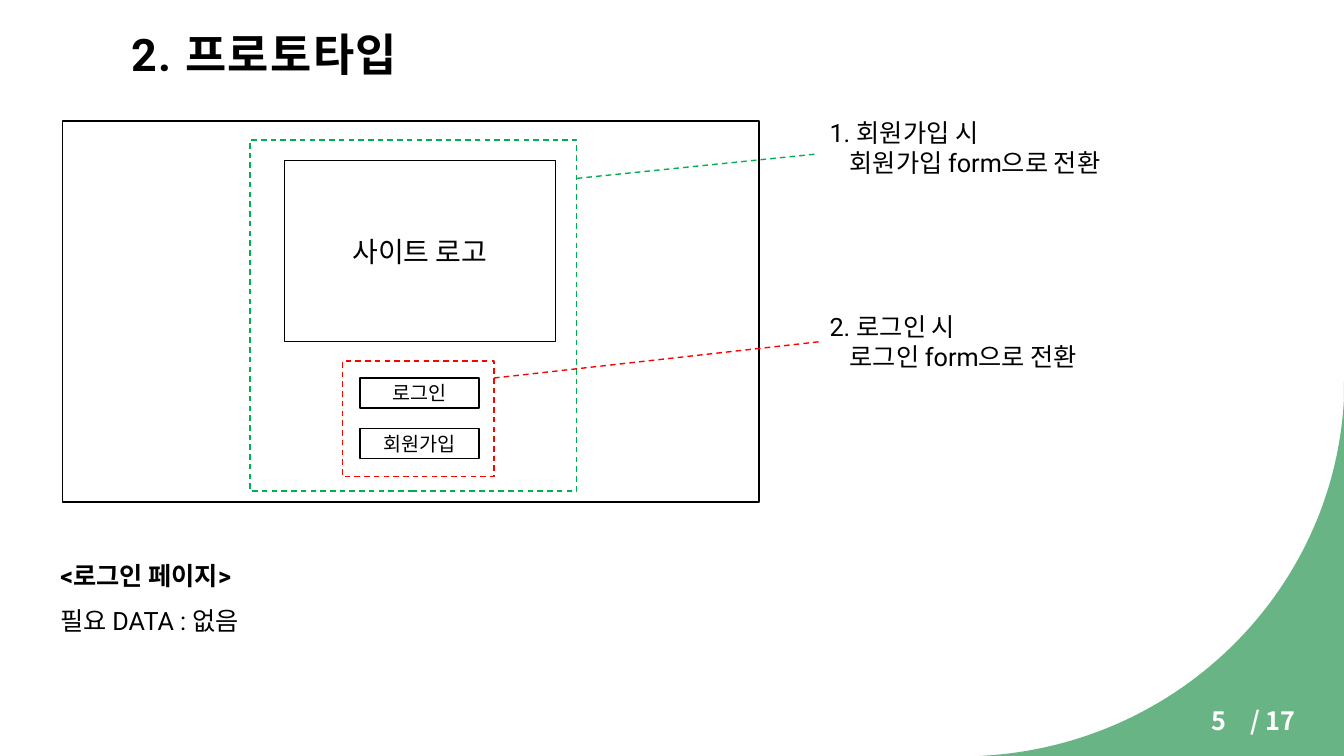
from dataclasses import dataclass

from lxml.etree import SubElement
from pptx import Presentation
from pptx.dml.color import RGBColor
from pptx.enum.dml import MSO_LINE_DASH_STYLE as Dash
from pptx.enum.shapes import MSO_CONNECTOR as Connector, MSO_SHAPE as Shape
from pptx.enum.text import MSO_ANCHOR as Anchor, MSO_AUTO_SIZE as AutoSize, PP_ALIGN as Align
from pptx.oxml.ns import qn
from pptx.util import Inches, Pt

BLACK, WHITE = "000000", "FFFFFF"
RED, GREEN, LEAF = "FF0000", "00B050", "68B484"
LATIN, KOREAN = "Roboto", "Noto Sans CJK KR"


@dataclass
class Frame:
    left: float
    top: float
    width: float
    height: float
    text: str = ""
    size: int = 20
    color: str = BLACK
    dashed: bool = False


@dataclass
class Leader:
    start: tuple[float, float]
    end: tuple[float, float]
    color: str


@dataclass
class Line:
    text: str
    bold: bool = False


@dataclass
class Label:
    left: float
    top: float
    width: float
    height: float
    lines: list[Line]
    font: str = LATIN
    color: str = BLACK
    spacing: float = 1.0
    hanging: float = 0.0


FRAMES = [
    Frame(0.62, 1.2, 6.91, 3.78),
    Frame(2.82, 1.59, 2.69, 1.8, "사이트 로고"),
    *(Frame(3.57, 3.75 + 0.5 * row, 1.18, 0.3, text, 14)
      for row, text in enumerate(["로그인", "회원가입"])),
    Frame(3.4, 3.58, 1.5, 1.15, color=RED, dashed=True),
    Frame(2.48, 1.39, 3.24, 3.48, color=GREEN, dashed=True),
]
LEADERS = [
    Leader((4.9, 3.75), (8.13, 3.39), RED),
    Leader((5.72, 1.77), (8.08, 1.53), GREEN),
]
LABELS = [
    Label(12.3, 6.95, 1.03, 0.4, [Line("/ 17", True)], KOREAN, WHITE),
    Label(8.13, 1.11, 3.44, 0.71, [Line("1. 회원가입 시\n회원가입 form으로 전환")], hanging=0.2),
    Label(8.13, 3.04, 3.44, 0.71, [Line("2. 로그인 시\n로그인 form으로 전환")], hanging=0.2),
    Label(0.5, 5.36, 8.29, 0.96,
          [Line("<로그인 페이지>", True), Line("필요 DATA : 없음")], spacing=1.5),
    Label(11.92, 6.95, 1.15, 0.4, [Line("5", True)], KOREAN, WHITE),
]
CURVE = [(9.71, 7.5), (11.67, 7.41), (13.23, 5.87), (13.33, 3.96)]
CURVE_STEPS = 60


def rgb(color: str) -> RGBColor:
    return RGBColor.from_string(color)


def apply(target, formats: dict) -> None:
    for name, value in formats.items():
        setattr(target, name, value)


def style_para(para, size: int, color: str, bold: bool = False, font: str = LATIN) -> None:
    for span in para.runs:
        apply(span.font, {"name": font, "size": Pt(size), "bold": bold})
        span.font.color.rgb = rgb(color)
        SubElement(span._r.get_or_add_rPr(), qn("a:ea"), typeface=KOREAN)


def style_line(line, color: str, dashed: bool) -> None:
    line.color.rgb = rgb(color)
    line.width = Pt(1)
    if dashed:
        line.dash_style = Dash.DASH


def curve_point(t: float) -> tuple[float, float]:
    weights = ((1 - t) ** 3, 3 * t * (1 - t) ** 2, 3 * t * t * (1 - t), t ** 3)
    x, y = (sum(w * value for w, value in zip(weights, axis)) for axis in zip(*CURVE))
    return x, y


def draw_corner(page) -> None:
    points = [curve_point(step / CURVE_STEPS) for step in range(CURVE_STEPS + 1)]
    points += [(13.33, 3.78), (13.33, 7.5), (9.63, 7.5)]
    builder = page.shapes.build_freeform(
        Inches(points[0][0]), Inches(points[0][1]), scale=1.0)
    builder.add_line_segments([(Inches(x), Inches(y)) for x, y in points[1:]], close=True)
    corner = builder.convert_to_shape()
    corner.shadow.inherit = False
    corner.fill.solid()
    corner.fill.fore_color.rgb = rgb(LEAF)
    corner.line.fill.background()


def draw_title(page, text: str) -> None:
    title = page.shapes.title
    apply(title, {"left": Inches(1.18), "top": Inches(0.24),
                  "width": Inches(10.88), "height": Inches(0.66)})
    frame = title.text_frame
    apply(frame, {"auto_size": AutoSize.NONE, "vertical_anchor": Anchor.BOTTOM,
                  "margin_left": Inches(0.12), "margin_top": Inches(0.12),
                  "margin_right": Inches(0.12), "margin_bottom": Inches(0.1)})
    para = frame.paragraphs[0]
    apply(para, {"text": text, "alignment": Align.LEFT, "line_spacing": 1.1})
    style_para(para, 32, BLACK, bold=True)
    para.runs[0]._r.get_or_add_rPr().set("spc", "100")


def draw_frame(page, frame: Frame) -> None:
    box = page.shapes.add_shape(
        Shape.RECTANGLE, Inches(frame.left), Inches(frame.top),
        Inches(frame.width), Inches(frame.height))
    box.shadow.inherit = False
    if frame.dashed:
        box.fill.background()
    else:
        box.fill.solid()
        box.fill.fore_color.rgb = rgb(WHITE)
    style_line(box.line, frame.color, frame.dashed)
    if frame.text:
        box.text_frame.vertical_anchor = Anchor.MIDDLE
        para = box.text_frame.paragraphs[0]
        apply(para, {"text": frame.text, "alignment": Align.CENTER})
        style_para(para, frame.size, BLACK)


def draw_leader(page, leader: Leader) -> None:
    ends = [Inches(value) for value in (*leader.start, *leader.end)]
    connector = page.shapes.add_connector(Connector.STRAIGHT, *ends)
    style_line(connector.line, leader.color, True)
    SubElement(connector._element.spPr, qn("a:effectLst"))


def draw_label(page, label: Label) -> None:
    box = page.shapes.add_textbox(
        Inches(label.left), Inches(label.top), Inches(label.width), Inches(label.height))
    frame = box.text_frame
    frame.word_wrap = True
    for index, line in enumerate(label.lines):
        para = frame.add_paragraph() if index else frame.paragraphs[0]
        apply(para, {"text": line.text, "line_spacing": label.spacing})
        style_para(para, 18, label.color, line.bold, label.font)
        if label.hanging:
            properties = para._p.get_or_add_pPr()
            properties.set("marL", str(Inches(label.hanging)))
            properties.set("indent", str(-Inches(label.hanging)))


def main() -> None:
    deck = Presentation()
    apply(deck, {"slide_width": Inches(13.33), "slide_height": Inches(7.5)})
    page = deck.slides.add_slide(deck.slide_layouts[5])
    draw_corner(page)
    draw_title(page, "2. 프로토타입")
    for frame in FRAMES:
        draw_frame(page, frame)
    for leader in LEADERS:
        draw_leader(page, leader)
    for label in LABELS:
        draw_label(page, label)
    deck.save("out.pptx")


if __name__ == "__main__":
    main()
